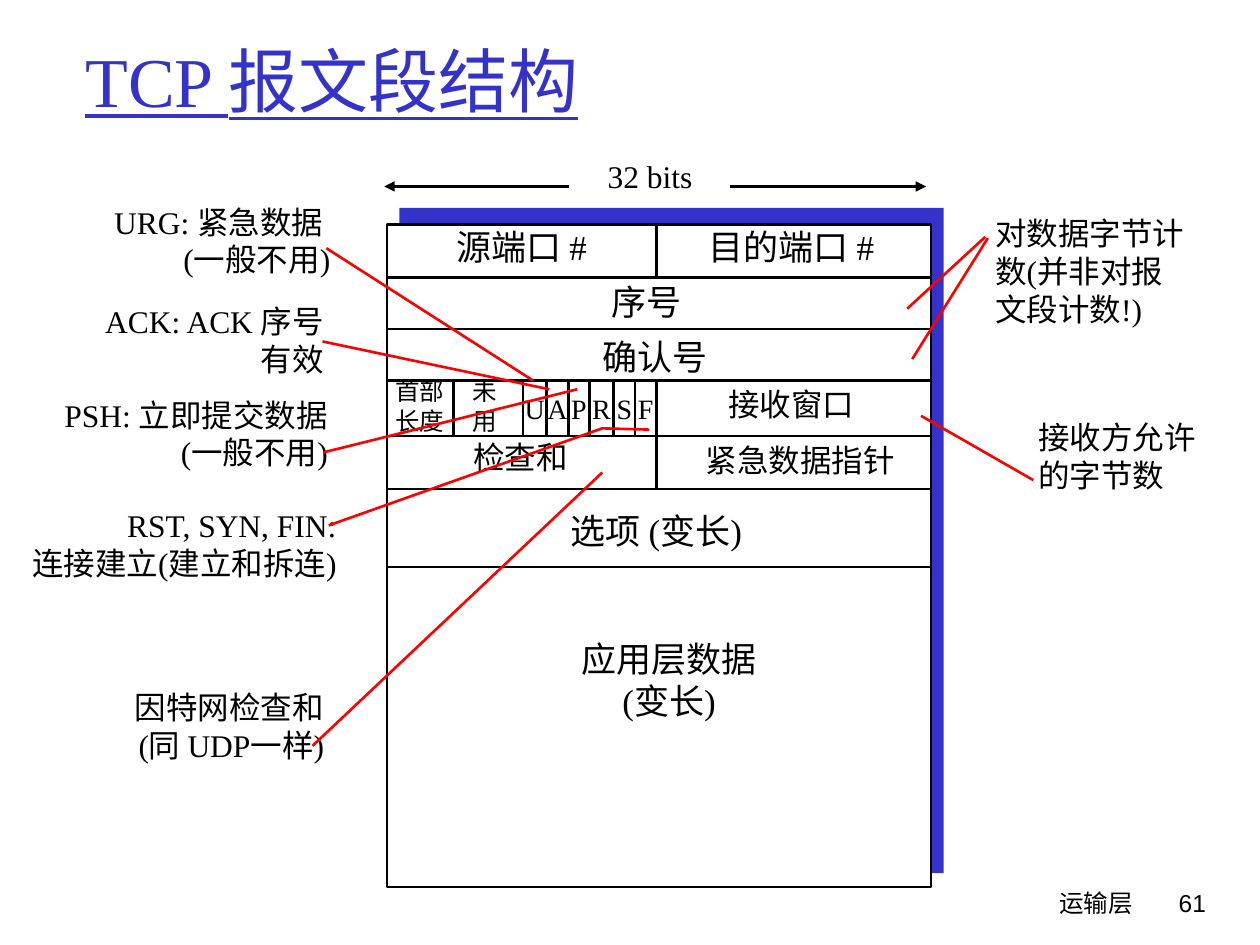
from itertools import pairwise
from lxml.etree import SubElement as Sub
from pptx import Presentation
from pptx.dml.color import RGBColor as Rgb
from pptx.enum.shapes import MSO_CONNECTOR as Conn, MSO_SHAPE as Geo
from pptx.enum.text import MSO_ANCHOR as Anchor, MSO_AUTO_SIZE as Fit, PP_ALIGN as Align
from pptx.oxml.ns import qn
from pptx.util import Inches, Pt

COLS, ROWS = 100, 75
UNIT = Inches(10) // COLS
HUES = {"ink": "000000", "blue": "3333CC", "red": "FF0000", "paper": "FFFFFF"}
SERIF = "Times New Roman"

# Segment grid: row edges, header columns, the middle edge
EDGES = [4.2, 8.3, 12.4, 16.8, 21, 27.2]
BITS = [5.3, 10.8, 12.7, 14.4, 16.1, 18, 19.7, 21.4]
MID = 21.4

# Lines, size, centre column, centre row, width
FIELDS = [
    (["32 bits"], 18, 20.9, -3.8, 9.6),
    (["源端口 #"], 20, 10.7, 1.8, 13),
    (["目的端口 #"], 20, 32.1, 1.8, 15.8),
    (["序号"], 20, 20.6, 6.1, 27.2),
    (["确认号"], 20, 21.3, 10.5, 37.3),
    (["首部", "长度"], 14, 2.6, 14.4, 5.9),
    (["未", "用"], 14, 7.8, 14.4, 3.9),
    (["接收窗口"], 18, 32.1, 14.3, 12),
    (["检查和"], 18, 10.6, 18.5, 9.5),
    (["紧急数据指针"], 18, 32.8, 18.7, 17),
    (["选项 (变长)"], 20, 21.4, 24.3, 17.6),
    (["应用层数据 ", "(变长)"], 20, 22.4, 36.1, 16.5),
]

# Box, lines, alignment, wrap, pointers from the box corner
NOTES = [
    ((7.5, 15.6, 19.7, 7), ["URG: 紧急数据 ", "(一般不用)"], Align.RIGHT, False,
     [[(18.4, 4.1), (34.8, 14.6)]]),
    ((6.6, 23.5, 20.1, 7), ["ACK: ACK 序号", "有效"], Align.RIGHT, False,
     [[(19, 3.6), (37, 7.4)]]),
    ((3.5, 30.9, 23.5, 7), ["PSH: 立即提交数据", "(一般不用)"], Align.RIGHT, False,
     [[(22.2, 5), (42.3, 0)]]),
    ((-0.7, 39.7, 28.4, 7), ["RST, SYN, FIN:", "连接建立(建立和拆连)"], Align.RIGHT, False,
     [[(26.8, 2), (48.5, -5.7), (52.2, -5.6)]]),
    ((7.6, 54.1, 19.1, 7), ["因特网检查和", "(同 UDP一样)"], Align.RIGHT, False,
     [[(17.2, 5.1), (40.2, -16.6)]]),
    ((81.4, 32.7, 14.5, 7), ["接收方允许", "的字节数"], Align.LEFT, False,
     [[(0.6, 5.4), (-8.3, 0.3)]]),
    ((78, 16.5, 17.1, 10), ["对数据字节计数(并非对报文段计数!)"], Align.LEFT, True,
     [[(0.4, 2.4), (-5.6, 12)], [(0.2, 2.3), (-6, 8)]]),
]


def span(*vals):
    return [round(v * UNIT) for v in vals]


def hue(name):
    return Rgb.from_string(HUES[name])


def text(host, box, lines, size, align=Align.LEFT, wrap=False, face=SERIF, tint="ink"):
    shape = host.add_textbox(*span(*box))
    frame = shape.text_frame
    frame.word_wrap = wrap
    frame.auto_size = Fit.SHAPE_TO_FIT_TEXT
    for i, line in enumerate(lines):
        para = frame.add_paragraph() if i else frame.paragraphs[0]
        para.alignment = align
        run = para.add_run()
        run.text = line
        run.font.name, run.font.size = face, Pt(size)
        run.font.color.rgb = hue(tint)
    return frame


def label(host, lines, size, cx, cy, wide):
    """Centre lines of text on a point."""
    high = 1 + len(lines) * size / 6
    text(host, (cx - wide / 2, cy - high / 2, wide, high), lines, size, Align.CENTER)


def rule(host, start, end, tint="ink", arrow=False):
    line = host.add_connector(Conn.STRAIGHT, *span(*start, *end))
    line.line.color.rgb = hue(tint)
    line.line.width = Pt(1.5)
    if arrow:
        Sub(line.line._get_or_add_ln(), qn("a:tailEnd"), type="triangle")
    Sub(line._element.spPr, qn("a:effectLst"))


def block(host, box, fill, edge=None):
    shape = host.add_shape(Geo.RECTANGLE, *span(*box))
    shape.shadow.inherit = False
    shape.fill.solid()
    shape.fill.fore_color.rgb = hue(fill)
    if edge:
        shape.line.color.rgb = hue(edge)
        shape.line.width = Pt(1.5)
    else:
        shape.line.fill.background()


def point(host, spots):
    """Draw a red pointer, straight or bent."""
    if len(spots) == 2:
        return rule(host, *spots, tint="red")
    first, *rest = [span(*s) for s in spots]
    pen = host.build_freeform(*first)
    pen.add_line_segments(rest, close=False)
    shape = pen.convert_to_shape()
    shape.shadow.inherit = False
    shape.fill.background()
    shape.line.color.rgb = hue("red")
    shape.line.width = Pt(1.5)


def title(slide, box):
    frame = text(slide.shapes, box, ["TCP 报文段结构"], 40, wrap=True, tint="blue")
    frame.auto_size = Fit.NONE
    frame.vertical_anchor = Anchor.MIDDLE
    frame.paragraphs[0].runs[0].font.underline = True


def segment(slide, box):
    host = slide.shapes.add_group_shape().shapes
    x, y, wide, high = box
    block(host, (x + 1, y - 1.3, wide, high + 0.2), "blue")
    block(host, box, "paper", "ink")
    for row in EDGES:
        rule(host, (x, y + row), (x + wide, y + row))
    for col in BITS:
        rule(host, (x + col, y + EDGES[2]), (x + col, y + EDGES[3]))
    for top, end in ((0, EDGES[0]), (EDGES[3], EDGES[4])):
        rule(host, (x + MID, y + top), (x + MID, y + end))
    for start, end in ((14.5, -0.2), (27.2, 42.8)):
        rule(host, (x + start, y - 3), (x + end, y - 3), arrow=True)
    for lines, size, cx, cy, span_w in FIELDS:
        label(host, lines, size, x + cx, y + cy, span_w)
    for flag, (left, right) in zip("UAPRSF", pairwise(BITS[1:])):
        label(host, [flag], 16, x + (left + right) / 2, y + 14.6, 3.6)


def note(slide, box, lines, align, wrap, leads):
    text(slide.shapes, box, lines, 18, align, wrap)
    for lead in leads:
        point(slide.shapes, [(box[0] + dx, box[1] + dy) for dx, dy in lead])


def footer(slide, box):
    x, y, wide, high = box
    text(slide.shapes, (x, y, wide - 5.8, high), ["运输层"], 14, Align.RIGHT, True, "Comic Neue")
    text(slide.shapes, (x + wide - 7.4, y, 7.4, high), ["61"], 14, Align.RIGHT, True, "Arial")


def main():
    deck = Presentation()
    deck.slide_width, deck.slide_height = span(COLS, ROWS)
    slide = deck.slides.add_slide(deck.slide_layouts[6])
    footer(slide, (59.2, 70, 37.5, 5))
    title(slide, (5.8, 2.1, 85, 8.5))
    segment(slide, (30.7, 17.8, 43.2, 52.6))
    for item in NOTES:
        note(slide, *item)
    deck.save("out.pptx")


if __name__ == "__main__":
    main()
